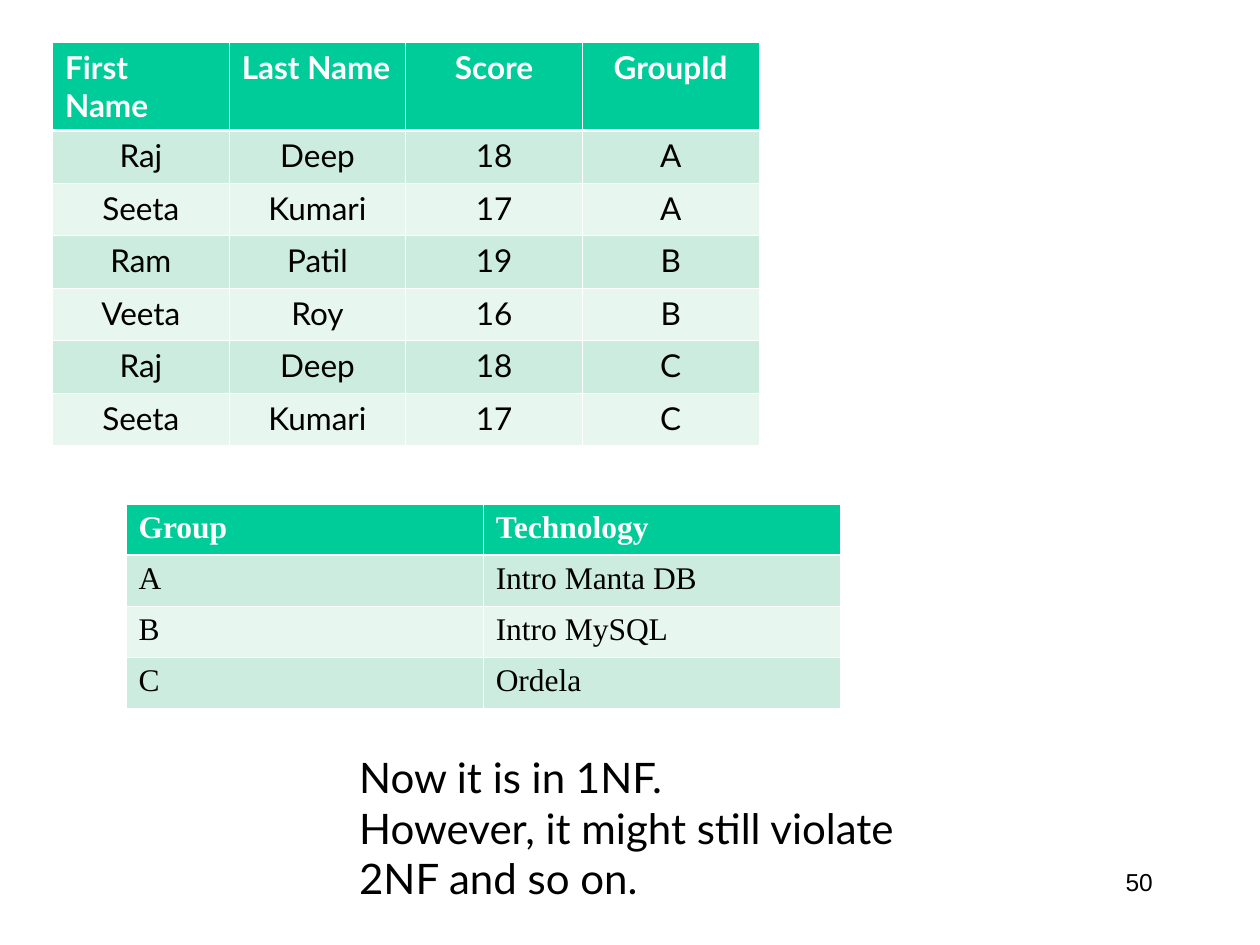
from lxml.etree import SubElement
from pptx import Presentation
from pptx.dml.color import RGBColor
from pptx.enum.text import MSO_AUTO_SIZE, PP_ALIGN
from pptx.oxml.ns import qn
from pptx.util import Cm, Pt

COLORS = {
    "head": "00CC99",
    "odd": "CBECDE",
    "even": "E7F6EF",
    "white": "FFFFFF",
    "black": "000000",
}
LEFT, MID, RIGHT = PP_ALIGN.LEFT, PP_ALIGN.CENTER, PP_ALIGN.RIGHT
THIN, THICK = 0.45, 1.47

SCORES = [
    ["First Name", "Last Name", "Score", "GroupId"],
    ["Raj", "Deep", "18", "A"],
    ["Seeta", "Kumari", "17", "A"],
    ["Ram", "Patil", "19", "B"],
    ["Veeta", "Roy", "16", "B"],
    ["Raj", "Deep", "18", "C"],
    ["Seeta", "Kumari", "17", "C"],
]
GROUPS = [
    ["Group", "Technology"],
    ["A", "Intro Manta DB"],
    ["B", "Intro MySQL"],
    ["C", "Ordela"],
]


def paint(name):
    return RGBColor.from_string(COLORS[name])


def style(para, face, size, color="black", bold=False, align=LEFT):
    para.alignment = align
    for run in para.runs:
        font = run.font
        font.name, font.size, font.bold = face, Pt(size), bold
        font.color.rgb = paint(color)


def edge(cell, row):
    """Draw white cell borders, thicker between the header and the body."""
    props = cell._tc.get_or_add_tcPr()
    widths = {
        "a:lnL": THIN,
        "a:lnR": THIN,
        "a:lnT": THICK if row == 1 else THIN,
        "a:lnB": THICK if row == 0 else THIN,
    }
    for tag, width in widths.items():
        line = SubElement(props, qn(tag), w=str(int(Pt(width))))
        fill = SubElement(line, qn("a:solidFill"))
        SubElement(fill, qn("a:srgbClr"), val=COLORS["white"])


def add_grid(slide, box, data, face, top_row, heads, body):
    """Place a banded table; heads lists header alignments, body is one."""
    left, top, width, height = box
    rows, cols = len(data), len(data[0])
    table = slide.shapes.add_table(
        rows, cols, Cm(left), Cm(top), Cm(width), Cm(height)).table
    for col in table.columns:
        col.width = Cm(width / cols)
    for r, texts in enumerate(data):
        head = r == 0
        table.rows[r].height = Cm(
            top_row if head else (height - top_row) / (rows - 1))
        band = "head" if head else "odd" if r % 2 else "even"
        for c, text in enumerate(texts):
            cell = table.cell(r, c)
            cell.text_frame.text = text
            style(cell.text_frame.paragraphs[0], face, 18,
                  "white" if head else "black", head,
                  heads[c] if head else body)
            edge(cell, r)
            cell.fill.solid()
            cell.fill.fore_color.rgb = paint(band)


def add_text(slide, box, text, face, size, align=LEFT, grow=False):
    frame = slide.shapes.add_textbox(*map(Cm, box)).text_frame
    frame.word_wrap = True
    if grow:
        frame.auto_size = MSO_AUTO_SIZE.SHAPE_TO_FIT_TEXT
    para = frame.paragraphs[0]
    para.text = text
    style(para, face, size, align=align)


def main():
    deck = Presentation()
    deck.slide_width, deck.slide_height = Cm(25.4), Cm(19.05)
    slide = deck.slides.add_slide(deck.slide_layouts[6])
    add_text(slide, (18.2, 17.36, 5.29, 1.27), "50", "Arial", 14, RIGHT)
    add_grid(slide, (1.06, 0.85, 14.24, 8.13), SCORES, "Lato", 1.78,
             [LEFT, LEFT, MID, MID], MID)
    add_grid(slide, (2.54, 10.16, 14.4, 4.12), GROUPS, "Times New Roman",
             1.03, [LEFT, LEFT], LEFT)
    add_text(slide, (6.99, 15.03, 12.7, 3.3),
             "Now it is in 1NF. \vHowever, it might still violate 2NF "
             "and so on.", "Lato", 24, grow=True)
    deck.save("out.pptx")


if __name__ == "__main__":
    main()
